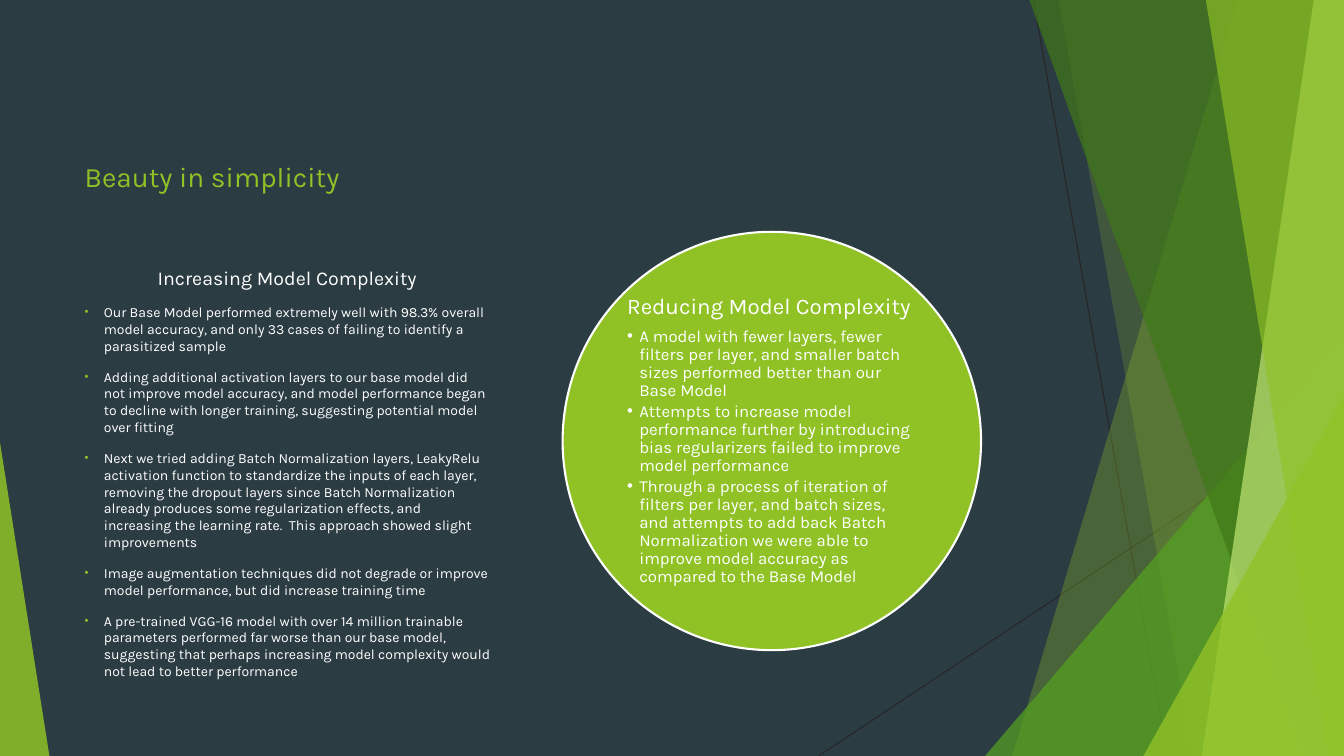
from dataclasses import dataclass

from lxml.etree import SubElement
from pptx import Presentation
from pptx.dml.color import RGBColor
from pptx.enum.shapes import MSO_CONNECTOR, MSO_SHAPE
from pptx.enum.text import MSO_ANCHOR, MSO_AUTO_SIZE, PP_ALIGN
from pptx.oxml.ns import qn
from pptx.util import Inches, Pt

# Content
TITLE = "Beauty in simplicity"
MORE = ("Increasing Model Complexity", [
    "Our Base Model performed extremely well with 98.3% overall model accuracy, "
    "and only 33 cases of failing to identify a parasitized sample",
    "Adding additional activation layers to our base model did not improve model accuracy, "
    "and model performance began to decline with longer training, "
    "suggesting potential model over fitting",
    "Next we tried adding Batch Normalization layers, LeakyRelu activation function "
    "to standardize the inputs of each layer, removing the dropout layers since "
    "Batch Normalization already produces some regularization effects, and increasing "
    "the learning rate.  This approach showed slight improvements",
    "Image augmentation techniques did not degrade or improve model performance, "
    "but did increase training time",
    "A pre-trained VGG-16 model with over 14 million trainable parameters performed "
    "far worse than our base model, suggesting that perhaps increasing model complexity "
    "would not lead to better performance",
])
LESS = ("Reducing Model Complexity", [
    "A model with fewer layers, fewer filters per layer, and smaller batch sizes "
    "performed better than our Base Model",
    "Attempts to increase model performance further by introducing bias regularizers "
    "failed to improve model performance",
    "Through a process of iteration of filters per layer, and batch sizes, and attempts "
    "to add back Batch Normalization we were able to improve model accuracy as compared "
    "to the Base Model",
])


@dataclass(frozen=True)
class Theme:
    font: str = "Karla"
    back: str = "2C3C43"
    ink: str = "FFFFFF"
    line: str = "262626"
    lime: str = "90C226"
    pale: str = "C0E474"
    leaf: str = "54A021"
    moss: str = "3F7819"
    title: int = 20
    head: int = 14
    body: int = 10
    disc_head: int = 16
    disc_body: int = 12


T = Theme()
WIDE, HIGH = 13.33, 7.5

# Backdrop, back to front
RAYS = [((10.25, 0), (11.58, HIGH)), ((WIDE, 4.03), (8.12, HIGH))]
# Band: top-left x, bottom-left x, colour, opacity; it runs to the right edge
# Wedge: left, top, width, side of the apex, colour, opacity; it runs to the bottom
BANDS = [
    ("band", (12.28, 10.04, T.lime, 30)),
    ("band", (10.5, 11.83, T.lime, 20)),
    ("wedge", (9.77, 3.33, 3.56, 1, T.leaf, 72)),
    ("band", (10.21, 12.91, T.moss, 70)),
    ("band", (13.03, 11.92, T.pale, 70)),
    ("band", (11.96, 13.18, T.lime, 65)),
    ("wedge", (11.34, 3.93, 1.99, 1, T.lime, 80)),
    ("wedge", (0, 4.39, 0.49, 0, T.lime, 85)),
]

deck = Presentation()
deck.slide_width, deck.slide_height = Inches(WIDE), Inches(HIGH)
slide = deck.slides.add_slide(deck.slide_layouts[1])
slide.background.fill.solid()
slide.background.fill.fore_color.rgb = RGBColor.from_string(T.back)
shapes = slide.shapes


def paint(shape, color, clear=None):
    shape.shadow.inherit = False
    shape.line.fill.background()
    shape.fill.solid()
    shape.fill.fore_color.rgb = RGBColor.from_string(color)
    if clear is not None:
        tint = shape.fill._xPr.find(".//" + qn("a:srgbClr"))
        SubElement(tint, qn("a:alpha"), val=str(clear * 1000))


def band(top, low, color, clear):
    pen = shapes.build_freeform(Inches(top), 0)
    pen.add_line_segments([(Inches(x), Inches(y)) for x, y in
                           ((WIDE, 0), (WIDE, HIGH), (low, HIGH))])
    paint(pen.convert_to_shape(), color, clear)


def wedge(left, top, width, apex, color, clear):
    shape = shapes.add_shape(MSO_SHAPE.ISOSCELES_TRIANGLE, Inches(left), Inches(top),
                             Inches(width), Inches(HIGH - top))
    shape.adjustments[0] = apex
    paint(shape, color, clear)


def place(shape, left, top, width, height):
    shape.left, shape.top = Inches(left), Inches(top)
    shape.width, shape.height = Inches(width), Inches(height)


def setup(frame, anchor):
    frame.word_wrap = True
    frame.auto_size = MSO_AUTO_SIZE.NONE
    frame.vertical_anchor = anchor


def write(para, text, size, color=T.ink, align=PP_ALIGN.LEFT, before=0, after=0, lead=1.0):
    para.alignment = align
    para.space_before, para.space_after = Pt(before), Pt(after)
    para.line_spacing = lead
    run = para.add_run()
    run.text = text
    run.font.name, run.font.size = T.font, Pt(size)
    run.font.color.rgb = RGBColor.from_string(color)


def bullet(para, indent, color=None, scale=100):
    props = para._p.get_or_add_pPr()
    props.set("marL", str(Inches(indent)))
    props.set("indent", str(-Inches(indent)))
    if color:
        SubElement(SubElement(props, qn("a:buClr")), qn("a:srgbClr"), val=color)
    SubElement(props, qn("a:buSzPct"), val=str(scale * 1000))
    SubElement(props, qn("a:buFont"), typeface="Arial")
    SubElement(props, qn("a:buChar"), char="•")


def plain(para):
    props = para._p.get_or_add_pPr()
    props.set("marL", "0")
    props.set("indent", "0")
    SubElement(props, qn("a:buNone"))


# Backdrop
for start, end in RAYS:
    ray = shapes.add_connector(MSO_CONNECTOR.STRAIGHT, *map(Inches, start + end))
    ray.line.color.rgb = RGBColor.from_string(T.line)
    ray.line.width = Pt(0.75)
    SubElement(ray._element.spPr, qn("a:effectLst"))
for kind, args in BANDS:
    (band if kind == "band" else wedge)(*args)

# Title
title = shapes.title
place(title, 0.74, 0.57, 4.22, 1.4)
setup(title.text_frame, MSO_ANCHOR.BOTTOM)
write(title.text_frame.paragraphs[0], TITLE, T.title, T.lime)

# List on the left
body = slide.placeholders[1]
place(body, 0.74, 2.59, 4.22, 4.34)
frame = body.text_frame
setup(frame, MSO_ANCHOR.TOP)
head, items = MORE
write(frame.paragraphs[0], head, T.head, align=PP_ALIGN.CENTER, before=10)
plain(frame.paragraphs[0])
for item in items:
    para = frame.add_paragraph()
    write(para, item, T.body, before=10)
    bullet(para, 0.19, T.lime, 80)

# Disc on the right
disc = shapes.add_shape(MSO_SHAPE.OVAL, Inches(5.58), Inches(2.3), Inches(4.15), Inches(4.15))
paint(disc, T.lime)
disc.line.color.rgb = RGBColor.from_string(T.ink)
disc.line.width = Pt(1.5)

box = shapes.add_textbox(Inches(6.2), Inches(2.92), Inches(2.91), Inches(2.91))
frame = box.text_frame
setup(frame, MSO_ANCHOR.MIDDLE)
frame.margin_left = frame.margin_right = Inches(0.02)
frame.margin_top = frame.margin_bottom = Inches(0.02)
head, items = LESS
write(frame.paragraphs[0], head, T.disc_head, after=0.35 * T.disc_head, lead=0.9)
for item in items:
    para = frame.add_paragraph()
    write(para, item, T.disc_body, after=0.15 * T.disc_body, lead=0.9)
    bullet(para, 0.12)

deck.save("out.pptx")
